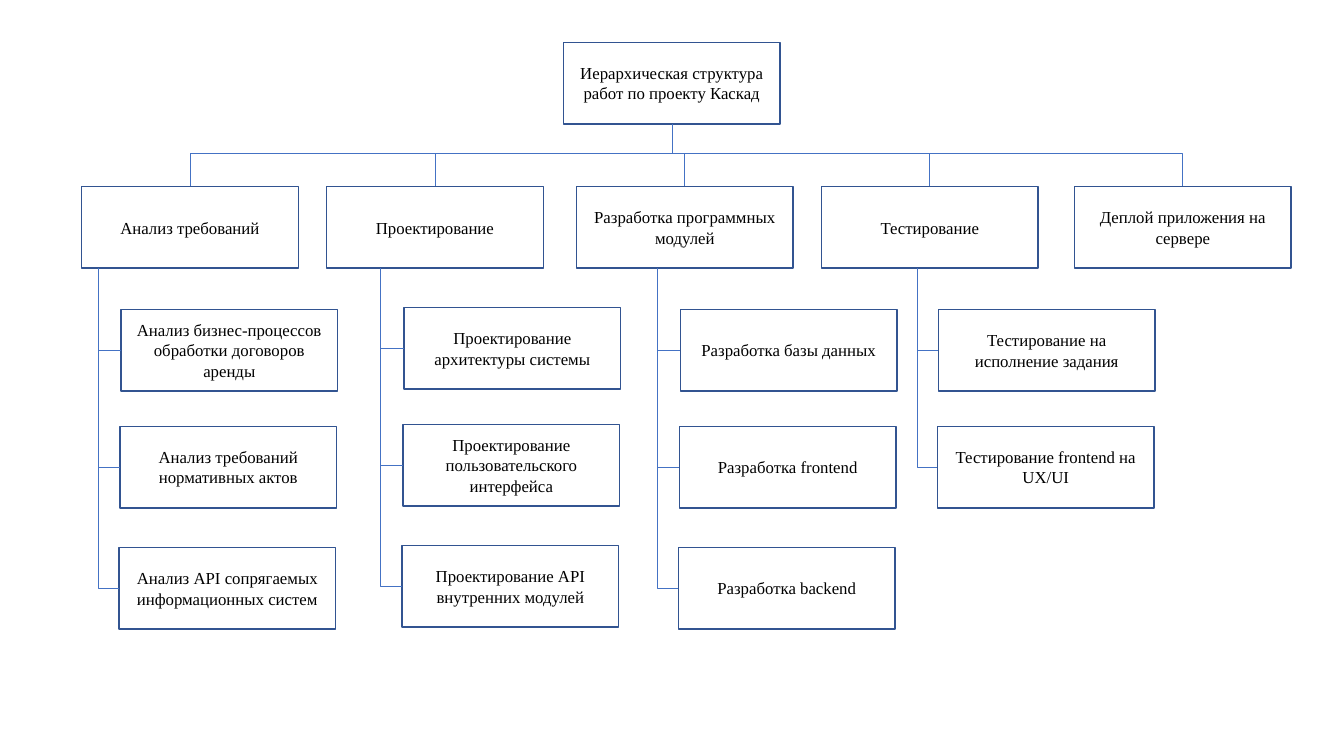
from pptx import Presentation
from pptx.dml.color import RGBColor
from pptx.enum import shapes, text
from pptx.oxml.ns import qn
from pptx.util import Pt
from lxml import etree

PROJECT = "Иерархическая структура работ по проекту Каскад"
# stage, stage left, spine x, tasks left, tasks top, tasks
STAGES = [
    ("Анализ требований", 58.3, 70.6, 86.4, 221, [
        "Анализ бизнес-процессов обработки договоров аренды",
        "Анализ требований нормативных актов",
        "Анализ API сопрягаемых информационных систем"]),
    ("Проектирование", 233.3, 271.4, 288.6, 219.6, [
        "Проектирование архитектуры системы",
        "Проектирование пользовательского интерфейса",
        "Проектирование API внутренних модулей"]),
    ("Разработка программных модулей", 411.8, 469.4, 486, 221, [
        "Разработка базы данных",
        "Разработка frontend",
        "Разработка backend"]),
    ("Тестирование", 586.8, 655.2, 670.3, 221, [
        "Тестирование на исполнение задания",
        "Тестирование frontend на UX/UI"]),
    ("Деплой приложения на сервере", 767.5, None, None, None, []),
]

BOX_W, BOX_H = 154.8, 58.3
PROJECT_LEFT, PROJECT_TOP = 402.5, 30.2
TRUNK_X, BUS_Y, STAGE_TOP = 480.2, 109.5, 133.2
TASK_DROPS = (0, 83.5, 170)
TASK_SHIFT = 0.7  # each lower task sits slightly further left

WHITE = RGBColor(0xFF, 0xFF, 0xFF)
BLACK = RGBColor(0, 0, 0)
BORDER = RGBColor(0x32, 0x54, 0x91)
LINK = RGBColor(0x44, 0x72, 0xC4)


def style_box(box, label):
    """Fill a box with its label and give it the chart's look."""
    box.fill.solid()
    box.fill.fore_color.rgb = WHITE
    box.line.color.rgb = BORDER
    box.line.width = Pt(1)
    frame = box.text_frame
    frame.text = label
    frame.word_wrap = True
    frame.auto_size = text.MSO_AUTO_SIZE.NONE
    frame.vertical_anchor = text.MSO_ANCHOR.MIDDLE
    paragraph = frame.paragraphs[0]
    paragraph.alignment = text.PP_ALIGN.CENTER
    paragraph.font.name = "Times New Roman"
    paragraph.font.size = Pt(12)
    paragraph.font.color.rgb = BLACK


def add_box(slide, label, left, top):
    """Add one work item."""
    box = slide.shapes.add_shape(shapes.MSO_SHAPE.RECTANGLE,
                                 Pt(left), Pt(top), Pt(BOX_W), Pt(BOX_H))
    box.shadow.inherit = False
    style_box(box, label)


def add_link(slide, start, end, bend=None):
    """Link two points; bend is the share of the width before the turn."""
    kind = shapes.MSO_CONNECTOR.STRAIGHT if bend is None else shapes.MSO_CONNECTOR.ELBOW
    link = slide.shapes.add_connector(kind, *(Pt(n) for n in (*start, *end)))
    link.line.color.rgb = LINK
    link.line.width = Pt(0.5)
    properties = link._element.spPr
    etree.SubElement(properties, qn("a:effectLst"))
    if bend is not None:
        guides = properties.find(qn("a:prstGeom")).get_or_add_avLst()
        etree.SubElement(guides, qn("a:gd"), name="adj1", fmla=f"val {bend * 100000}")


deck = Presentation()
deck.slide_width, deck.slide_height = Pt(960), Pt(540)
slide = deck.slides.add_slide(deck.slide_layouts[5])

project = slide.shapes.title
project.left, project.top = Pt(PROJECT_LEFT), Pt(PROJECT_TOP)
project.width, project.height = Pt(BOX_W), Pt(BOX_H)
style_box(project, PROJECT)
add_link(slide, (TRUNK_X, PROJECT_TOP + BOX_H), (TRUNK_X, BUS_Y))

for stage, stage_left, spine_x, tasks_left, tasks_top, tasks in STAGES:
    add_box(slide, stage, stage_left, STAGE_TOP)
    add_link(slide, (TRUNK_X, BUS_Y), (stage_left + BOX_W / 2, STAGE_TOP), bend=1)
    spine_y = STAGE_TOP + BOX_H
    for row, (task, drop) in enumerate(zip(tasks, TASK_DROPS)):
        left, top = tasks_left - row * TASK_SHIFT, tasks_top + drop
        middle = top + BOX_H / 2
        add_box(slide, task, left, top)
        add_link(slide, (spine_x, spine_y), (left, middle), bend=0)
        spine_y = middle

deck.save("out.pptx")
